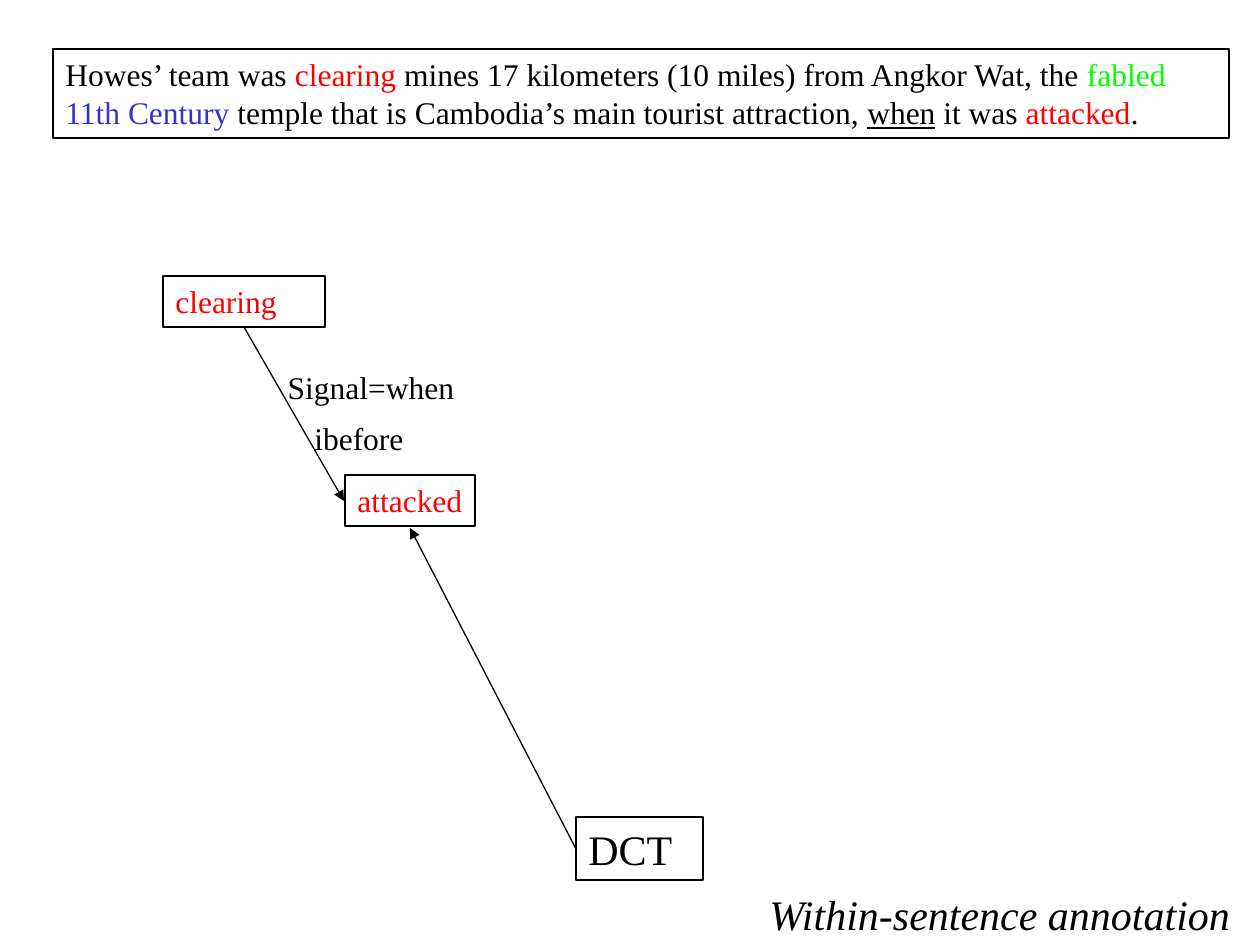
import pptx
import pptx.util
import pptx.dml.color
import pptx.enum.shapes
import pptx.enum.text
import lxml.etree
import pptx.oxml.ns

PX = 914400 / 126
FONT = "Times New Roman"
HEX = {"ink": "000000", "event": "FF0000", "mod": "00FF00", "time": "3333CC"}
ALIGN = pptx.enum.text.PP_ALIGN
FIT = pptx.enum.text.MSO_AUTO_SIZE.SHAPE_TO_FIT_TEXT


def emu(px):
    """Turn picture pixels into EMU."""
    return pptx.util.Emu(round(px * PX))


def color(name):
    """Look up a named colour."""
    return pptx.dml.color.RGBColor.from_string(HEX[name])


def fill_text(shape, runs, size, space, wrap, align):
    """Write runs of (text, colour, style) into a shape."""
    frame = shape.text_frame
    frame.word_wrap = wrap
    frame.auto_size = FIT
    frame.vertical_anchor = pptx.enum.text.MSO_ANCHOR.TOP
    para = frame.paragraphs[0]
    para.alignment = align
    para.space_before = pptx.util.Pt(space)
    for text, tint, style in runs:
        run = para.add_run()
        run.text = text
        font = run.font
        font.name = FONT
        font.size = pptx.util.Pt(size)
        font.color.rgb = color(tint)
        if style == "under":
            font.underline = True
        if style == "slant":
            font.italic = True


def add_label(slide, box, runs, size=18, space=0, wrap=True, align=ALIGN.LEFT):
    """Place plain text in a box."""
    shape = slide.shapes.add_textbox(*map(emu, box))
    fill_text(shape, runs, size, space, wrap, align)


def add_node(slide, box, runs, size=18, space=0, wrap=True):
    """Place a thinly framed box of text."""
    kind = pptx.enum.shapes.MSO_SHAPE.RECTANGLE
    shape = slide.shapes.add_shape(kind, *map(emu, box))
    shape.shadow.inherit = False
    shape.fill.background()
    shape.line.color.rgb = color("ink")
    shape.line.width = pptx.util.Pt(0.74)
    fill_text(shape, runs, size, space, wrap, ALIGN.LEFT)


def add_arrow(slide, start, end):
    """Draw an arrow from start to end."""
    kind = pptx.enum.shapes.MSO_CONNECTOR.STRAIGHT
    link = slide.shapes.add_connector(kind, *map(emu, start + end))
    link.line.color.rgb = color("ink")
    link.line.width = pptx.util.Pt(0.74)
    qn = pptx.oxml.ns.qn
    tip = lxml.etree.SubElement(link.line._get_or_add_ln(), qn("a:tailEnd"))
    tip.set("type", "triangle")
    lxml.etree.SubElement(link._element.spPr, qn("a:effectLst"))


def add_quote(slide, box):
    """Place the annotated sentence."""
    runs = [
        ("Howes’ team was ", "ink", ""),
        ("clearing", "event", ""),
        (" mines 17 kilometers (10 miles) from Angkor Wat, the ", "ink", ""),
        ("fabled ", "mod", ""),
        ("11th Century", "time", ""),
        (" temple that is Cambodia’s main tourist attraction, ", "ink", ""),
        ("when", "ink", "under"),
        (" it was ", "ink", ""),
        ("attacked", "event", ""),
        (".", "ink", ""),
    ]
    add_node(slide, box, runs, space=11.2)


def add_graph(slide, left, top):
    """Draw the event graph from its top left corner."""
    def at(x, y, *size):
        return (left + x, top + y, *size)

    add_node(slide, at(413, 541, 127, 63), [("DCT", "ink", "")], 24, 15)
    add_node(slide, at(0, 0, 162, 51), [("clearing", "event", "")], space=11.2)
    add_node(slide, at(182, 199, 130, 51), [("attacked", "event", "")], wrap=False)
    add_arrow(slide, at(81, 51), at(181, 225))
    add_label(slide, at(139, 137, 115, 51), [("ibefore", "ink", "")], wrap=False)
    add_label(slide, at(94, 86, 228, 51), [("Signal=when", "ink", "")],
              space=11.2, align=ALIGN.CENTER)
    add_arrow(slide, at(413, 573), at(247, 252))


def main():
    """Build and save the slide."""
    deck = pptx.Presentation()
    deck.slide_width, deck.slide_height = emu(1260), emu(945)
    slide = deck.slides.add_slide(deck.slide_layouts[6])
    add_quote(slide, (53, 49, 1176, 89))
    add_graph(slide, 163, 276)
    title = [("Within-sentence annotation", "ink", "slant")]
    add_label(slide, (757, 882, 503, 63), title, 24, 15)
    deck.save("out.pptx")


main()
